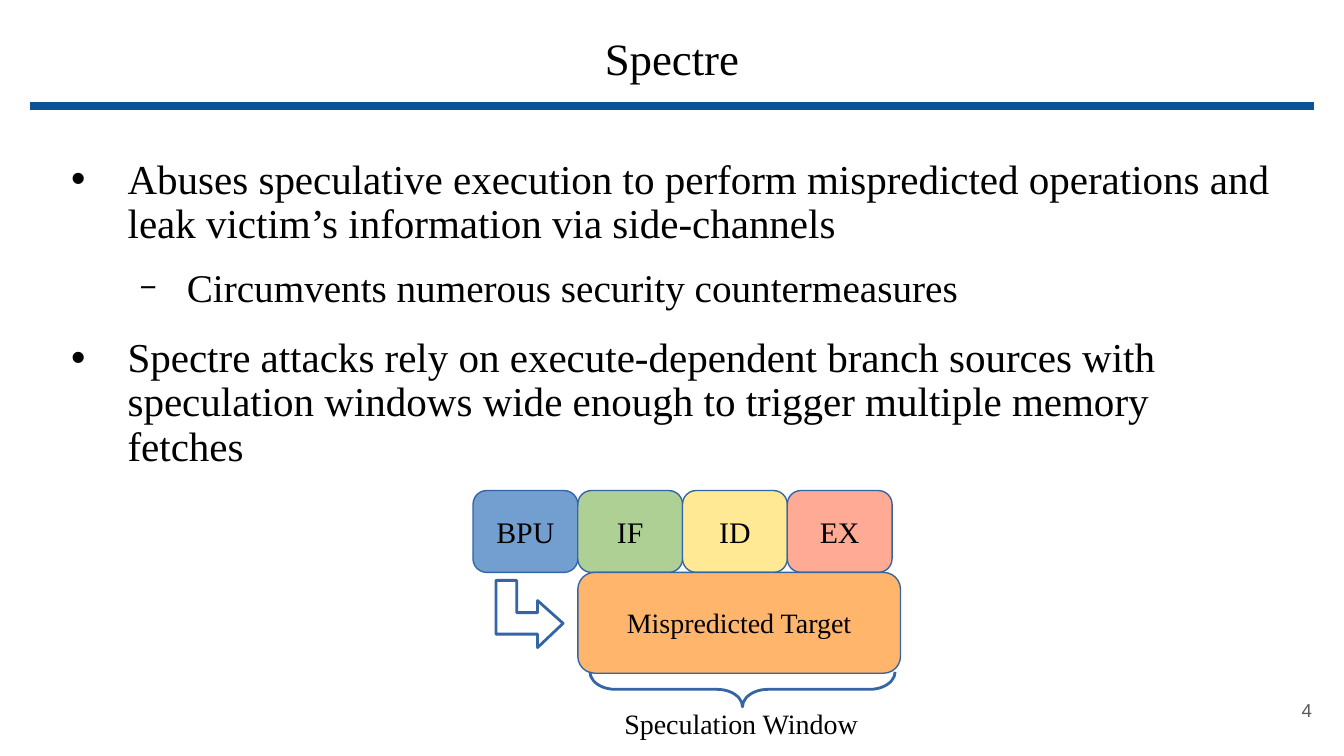
from dataclasses import dataclass
from lxml.etree import SubElement as Sub
from pptx import Presentation
from pptx.dml.color import RGBColor as Rgb
from pptx.enum.shapes import MSO_CONNECTOR as Line, MSO_SHAPE as Kind
from pptx.enum.text import MSO_ANCHOR as Anchor, PP_ALIGN as Align
from pptx.oxml.ns import qn
from pptx.util import Emu, Inches, Pt

UNIT = Inches(0.1)  # one column or row of the grid
WIDE, HIGH = 100, 56.25


@dataclass(frozen=True)
class Theme:
    serif: str = "Times New Roman"
    sans: str = "Arial"
    ink: str = "000000"
    gray: str = "595959"
    rule: str = "0B5394"
    edge: str = "3465A4"
    paper: str = "FFFFFF"
    target: str = "FFB66C"
    title: int = 24
    point: int = 22
    detail: int = 21
    stage: int = 16
    label: int = 15
    page: int = 10


LOOK = Theme()
STAGES = [("BPU", "729FCF"), ("IF", "AFD095"), ("ID", "FFE994"), ("EX", "FFAA95")]
POINTS = [
    (0, 0, "Abuses speculative execution to perform mispredicted operations "
           "and leak victim’s information via side-channels"),
    (1, 11.3, "Circumvents numerous security countermeasures"),
    (0, 14.2, "Spectre attacks rely on execute-dependent branch sources with "
              "speculation windows wide enough to trigger multiple memory fetches"),
]
# left edge and hanging indent in inches, mark, mark size in percent, type size
LEVELS = [(0.5, 0.42, "•", 100, LOOK.point), (0.94, 0.35, "−", 75, LOOK.detail)]


def grid(*cells):
    return [Emu(round(cell * UNIT)) for cell in cells]


def style(para, size, color=LOOK.ink, face=LOOK.serif):
    for run in para.runs:
        font = run.font
        font.size, font.name = Pt(size), face
        font.color.rgb = Rgb.from_string(color)


def frame(shape, pads, anchor=Anchor.TOP):
    """Wrap the text and set left, top, right and bottom insets in grid units."""
    text = shape.text_frame
    text.word_wrap, text.vertical_anchor = True, anchor
    (text.margin_left, text.margin_top,
     text.margin_right, text.margin_bottom) = grid(*pads)
    return text


def write(shape, words, size, align=Align.CENTER, pads=(1, 0.5, 1, 0.5),
          anchor=Anchor.MIDDLE, **font):
    text = frame(shape, pads, anchor)
    text.text = words
    para = text.paragraphs[0]
    para.alignment = align
    style(para, size, **font)


def paint(shape, fill, width):
    shape.shadow.inherit = False
    if fill:
        shape.fill.solid()
        shape.fill.fore_color.rgb = Rgb.from_string(fill)
    else:
        shape.fill.background()
    shape.line.color.rgb = Rgb.from_string(LOOK.edge)
    shape.line.width = Pt(width)


def block(shapes, box, words, fill, size):
    shape = shapes.add_shape(Kind.ROUNDED_RECTANGLE, *grid(*box))
    paint(shape, fill, 0)
    write(shape, words, size)


def header(shapes, x, y, w, h):
    title = shapes.add_textbox(*grid(x + 0.15 * w, y, 0.7 * w, h))
    write(title, "Spectre", LOOK.title, pads=(0.7, 0.4, 0.7, 0.4), anchor=Anchor.TOP)
    rule = shapes.add_connector(Line.STRAIGHT, *grid(x, y + 6, x + w, y + 6))
    rule.line.color.rgb = Rgb.from_string(LOOK.rule)
    rule.line.width = Pt(4.5)
    Sub(rule._element.spPr, qn("a:effectLst"))


def mark(para, level):
    """Give the paragraph the hanging indent and bullet of its level."""
    left, hang, sign, share, _ = LEVELS[level]
    props = para._p.get_or_add_pPr()
    props.set("marL", str(Inches(left)))
    props.set("indent", str(-Inches(hang)))
    tint = Sub(props, qn("a:buClr"))
    Sub(tint, qn("a:srgbClr"), val=LOOK.ink)
    Sub(props, qn("a:buSzPct"), val=str(share * 1000))
    Sub(props, qn("a:buFont"), typeface=LOOK.sans)
    Sub(props, qn("a:buChar"), char=sign)


def body(shapes, x, y, w, h):
    text = frame(shapes.add_textbox(*grid(x, y, w, h)), (0.7, 5.2, 0.7, 0.4))
    for at, (level, gap, words) in enumerate(POINTS):
        para = text.add_paragraph() if at else text.paragraphs[0]
        para.text, para.level = words, level
        para.line_spacing, para.space_before = 0.9, Pt(gap)
        mark(para, level)
        style(para, LEVELS[level][-1])


def arrow(shapes, x, y, size):
    """Draw a bent arrow that runs down, then right, in a square box."""
    stem, neck = 0.31 * size, 0.62 * size
    low, high = 0.48 * size, 0.8 * size
    dots = [(0, 0), (stem, 0), (stem, low), (neck, low), (neck, 0.3 * size),
            (size, 0.64 * size), (neck, size), (neck, high), (0, high)]
    path = [grid(x + dx, y + dy) for dx, dy in dots]
    pen = shapes.build_freeform(*path[0])
    pen.add_line_segments(path[1:], close=True)
    paint(pen.convert_to_shape(), LOOK.paper, 1.5)


def brace(shapes, x, y, w, h):
    """Draw a brace that points down; it is a left brace turned a quarter."""
    left, top = x + (w - h) / 2, y + (h - w) / 2
    shape = shapes.add_shape(Kind.LEFT_BRACE, *grid(left, top, h, w))
    shape.adjustments[0] = 0.73
    shape.rotation = 270
    paint(shape, None, 1.5)


def pipeline(shapes, x, y, w, h):
    step, tall = w / 4.08, 0.3 * h
    for at, (words, fill) in enumerate(STAGES):
        block(shapes, (x + at * step, y, step, tall), words, fill, LOOK.stage)
    arrow(shapes, x + 1.7, y + tall + 0.6, 5)
    block(shapes, (x + step, y + tall, w - step, 7.5),
          "Mispredicted Target", LOOK.target, LOOK.label)
    brace(shapes, x + 8.7, y + tall + 7.4, 22.7, 2.6)
    note = shapes.add_textbox(*grid(x + 8.7, y + 15.6, 22.5, 7.5))
    write(note, "Speculation Window", LOOK.label, anchor=Anchor.TOP)


def number(shapes, x, y, w, h):
    write(shapes.add_textbox(*grid(x, y, w, h)), "4", LOOK.page, Align.RIGHT,
          (1, 1, 1, 1), color=LOOK.gray, face=LOOK.sans)


def main():
    deck = Presentation()
    deck.slide_width, deck.slide_height = grid(WIDE, HIGH)
    shapes = deck.slides.add_slide(deck.slide_layouts[6]).shapes
    header(shapes, 2.2, 1.9, 95.6, 10)
    body(shapes, 3.8, 6.6, 91.7, 30.9)
    number(shapes, 92.7, 50.7, 5.9, 4.3)
    pipeline(shapes, 35.2, 36.5, 31.8, 20.3)
    deck.save("out.pptx")


if __name__ == "__main__":
    main()
